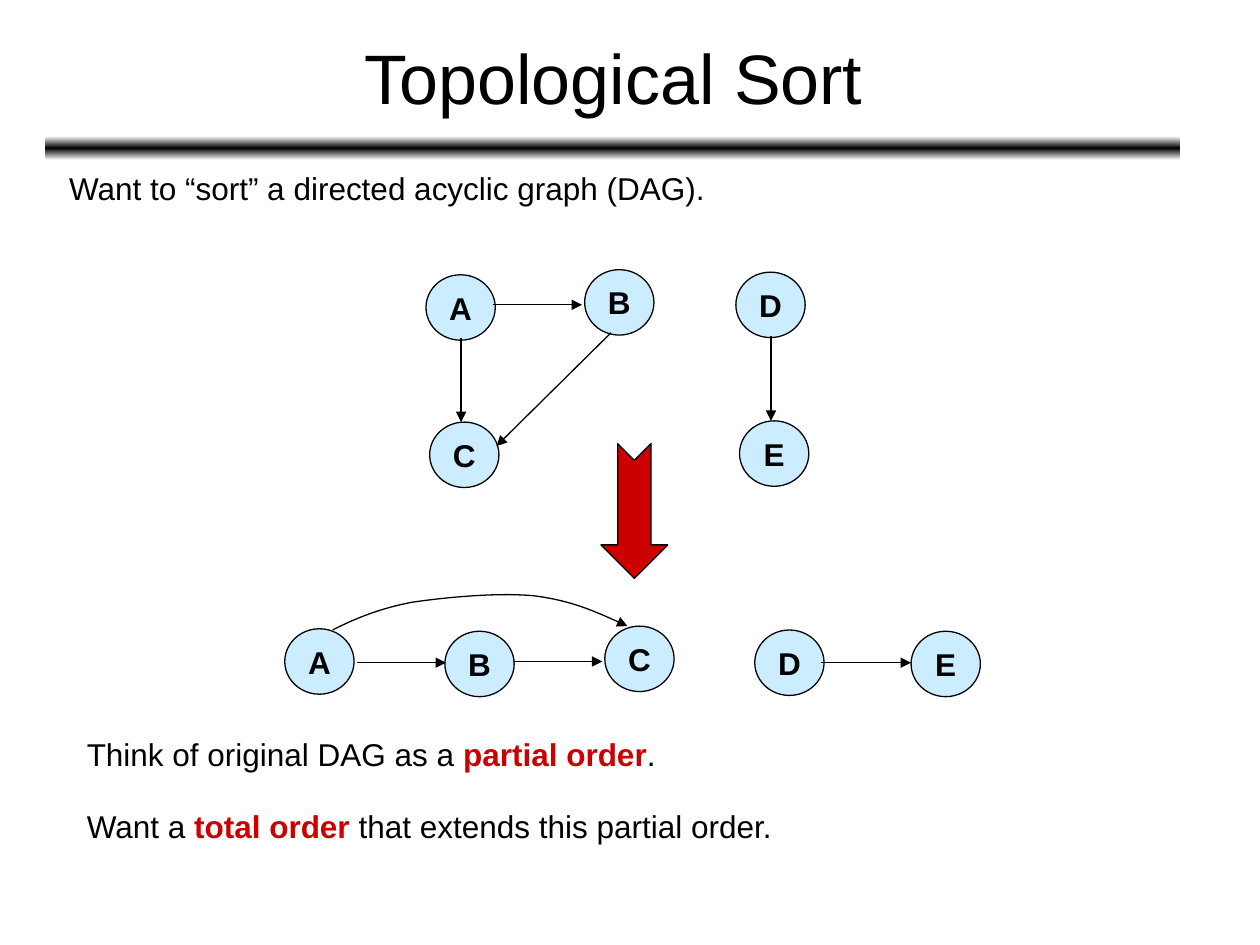
from copy import deepcopy

from lxml import etree
from pptx import Presentation
from pptx.dml.color import RGBColor
from pptx.enum.shapes import MSO_CONNECTOR, MSO_SHAPE
from pptx.enum.text import MSO_ANCHOR, PP_ALIGN
from pptx.oxml.ns import qn
from pptx.util import Pt

ELLIPSE, BAR = MSO_SHAPE.OVAL, MSO_SHAPE.ROUNDED_RECTANGLE
NOTCHED_ARROW = MSO_SHAPE.NOTCHED_RIGHT_ARROW
STRAIGHT = MSO_CONNECTOR.STRAIGHT
TOP, MIDDLE = MSO_ANCHOR.TOP, MSO_ANCHOR.MIDDLE
LEFT, CENTER = PP_ALIGN.LEFT, PP_ALIGN.CENTER

COLORS = {"black": "000000", "white": "FFFFFF", "node": "CCECFF", "red": "CC0000"}
FONT = "Arial"
NODE_W, NODE_H = 39.6, 37.4
LINE_W = 0.75

# Content: a text box is a list of paragraphs, each a list of (text, emphasised)
TITLE = [[("Topological Sort", False)]]
INTRO = [[("Want to “sort” a directed acyclic graph (DAG).", False)]]
CONCLUSION = [
    [("Think of original DAG as a ", False), ("partial order", True), (".", False)],
    [("Want a ", False), ("total order", True),
     (" that extends this partial order.", False)],
]

# Nodes: label, left, top
DAG_NODES = [("A", 243.4, 157), ("B", 334.1, 154.1), ("C", 245.5, 241.2),
             ("D", 420.5, 155.5), ("E", 422.6, 240.5)]
SORTED_NODES = [("A", 162.7, 359.3), ("B", 254.2, 360.7), ("C", 345.6, 357.8),
                ("D", 431.3, 360), ("E", 520.6, 360.7)]

# Edges: x and y of start, x and y of end
DAG_EDGES = [(281.5, 174.2, 332.6, 174.2), (263.5, 193, 263.5, 241.2),
             (349.2, 190.1, 283.7, 254.9), (440.6, 192.2, 440.6, 240.5)]
SORTED_EDGES = [(203.8, 378.7, 254.9, 378.7), (293, 378, 344.2, 378),
                (469.4, 378.7, 520.6, 378.7)]

# Curved edge A to C: start, then three points for each Bézier segment
CURVE = [(190.1, 360),
         (203, 353.5), (216.7, 347.8), (235.4, 344.2),
         (254.9, 341.3), (285.8, 338.4), (306, 340.6),
         (326.9, 343.4), (342.7, 350.6), (358.6, 357.8)]

prs = Presentation()
prs.slide_width, prs.slide_height = Pt(720), Pt(540)
slide = prs.slides.add_slide(prs.slide_layouts[6])
shapes = slide.shapes


def rgb(name):
    return RGBColor.from_string(COLORS[name])


def outline(sp):
    sp.line.color.rgb = rgb("black")
    sp.line.width = Pt(LINE_W)


def add_arrowhead(sp):
    ln = sp.line._get_or_add_ln()
    etree.SubElement(ln, qn("a:tailEnd"), type="triangle")


def add_preset(kind, x, y, w, h, fill):
    sp = shapes.add_shape(kind, Pt(x), Pt(y), Pt(w), Pt(h))
    sp.shadow.inherit = False
    sp.fill.solid()
    sp.fill.fore_color.rgb = rgb(fill)
    outline(sp)
    return sp


def add_text(x, y, w, h, paragraphs, size=18, align=LEFT, anchor=TOP, gap=0):
    tf = shapes.add_textbox(Pt(x), Pt(y), Pt(w), Pt(h)).text_frame
    tf.word_wrap = True
    tf.vertical_anchor = anchor
    for i, runs in enumerate(paragraphs):
        p = tf.add_paragraph() if i else tf.paragraphs[0]
        p.alignment = align
        p.space_before = Pt(gap if i else 0)
        p.font.name, p.font.size = FONT, Pt(size)
        for text, emphasised in runs:
            r = p.add_run()
            r.text = text
            r.font.bold = emphasised
            r.font.color.rgb = rgb("red" if emphasised else "black")


def add_node(label, x, y):
    sp = add_preset(ELLIPSE, x, y, NODE_W, NODE_H, "node")
    tf = sp.text_frame
    tf.word_wrap = False
    tf.vertical_anchor = MIDDLE
    p = tf.paragraphs[0]
    p.text = label
    p.alignment = CENTER
    p.font.name, p.font.size, p.font.bold = FONT, Pt(18), True
    p.font.color.rgb = rgb("black")


def add_edge(x1, y1, x2, y2):
    line = shapes.add_connector(STRAIGHT, Pt(x1), Pt(y1), Pt(x2), Pt(y2))
    outline(line)
    add_arrowhead(line)
    etree.SubElement(line._element.spPr, qn("a:effectLst"))


def add_curve(points):
    start, *rest = [(Pt(x), Pt(y)) for x, y in points]
    builder = shapes.build_freeform(*start)
    builder.add_line_segments(rest, close=False)
    sp = builder.convert_to_shape()
    # Turn every three line segments into one cubic Bézier segment
    segments = list(sp._element.iter(qn("a:lnTo")))
    for i in range(0, len(segments), 3):
        cubic = etree.Element(qn("a:cubicBezTo"))
        segments[i].addprevious(cubic)
        for segment in segments[i:i + 3]:
            cubic.append(segment[0])
            segment.getparent().remove(segment)
    sp.shadow.inherit = False
    sp.fill.background()
    outline(sp)
    add_arrowhead(sp)


# Gradient bar under the title
bar = shapes.add_shape(BAR, Pt(25.9), Pt(77.8), Pt(648.7), Pt(13.7))
bar.shadow.inherit = False
bar.line.fill.background()
bar.fill.gradient()
bar.fill.gradient_angle = 90
first = bar._element.spPr.find(".//" + qn("a:gs"))
first.addnext(deepcopy(first))
for stop, (position, color) in zip(
        bar.fill.gradient_stops, [(0, "white"), (0.5, "black"), (1, "white")]):
    stop.position = position
    stop.color.rgb = rgb(color)

# Title and introduction
add_text(26.6, 7.9, 648, 71.3, TITLE, size=40, align=CENTER, anchor=MIDDLE)
add_text(32.4, 92.9, 468.7, 36, INTRO)

# Graph above, sorted order below
for node in DAG_NODES + SORTED_NODES:
    add_node(*node)
for edge in DAG_EDGES + SORTED_EDGES:
    add_edge(*edge)
add_curve(CURVE)

# Red arrow from the graph to its sorted order
arrow = add_preset(NOTCHED_ARROW, 324, 272.9, 77, 38.2, "red")
arrow.rotation = 90

# Conclusion
add_text(42.5, 416.2, 491, 84.2, CONCLUSION, gap=20)

prs.save("out.pptx")
